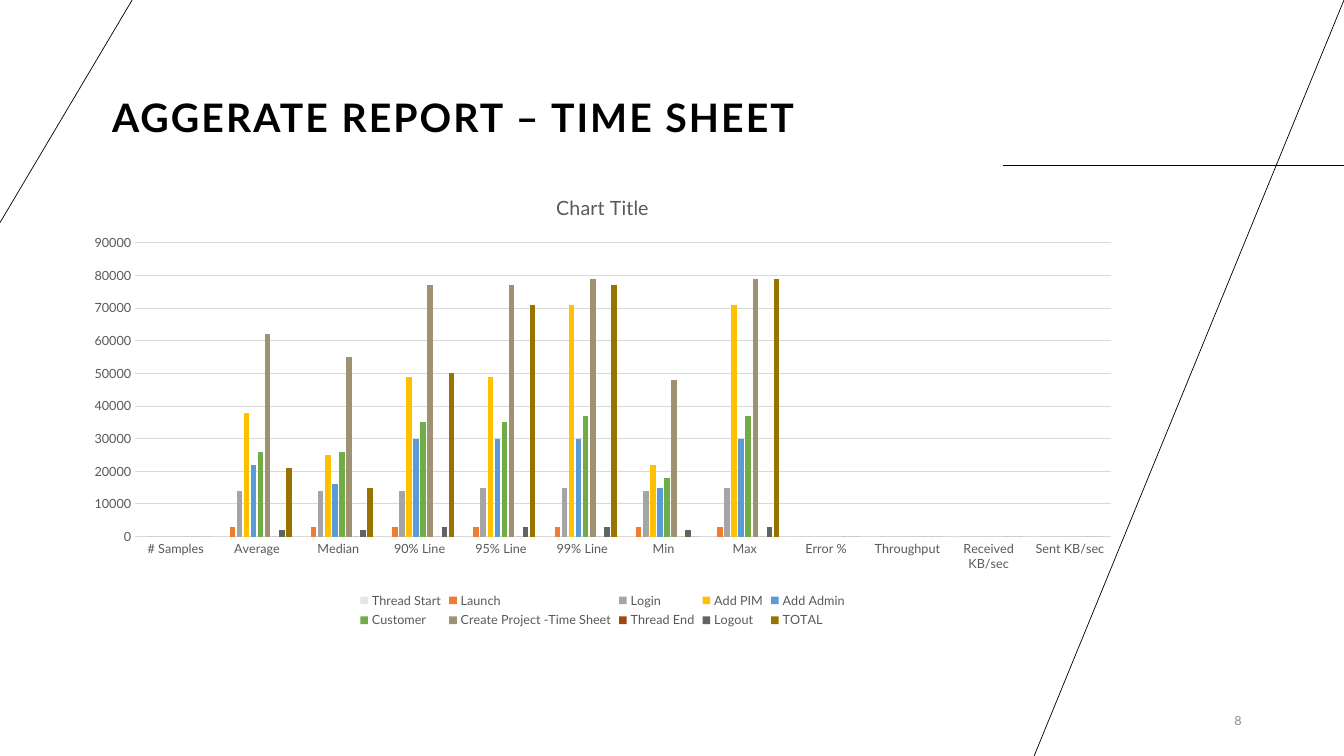
from dataclasses import dataclass

import pptx
import pptx.chart.data
import pptx.dml.color
import pptx.enum.chart
import pptx.enum.shapes
import pptx.enum.text
import pptx.oxml
import pptx.oxml.ns
import pptx.util

Cm = pptx.util.Cm
Pt = pptx.util.Pt


@dataclass(frozen=True)
class Theme:
    font: str = "Lato"
    ink: str = "000000"
    label: str = "595959"
    grid: str = "D9D9D9"
    number: str = "8C8C8C"
    title_size: float = 28
    chart_title_size: float = 14
    label_size: float = 9
    thin: float = 0.5
    rule: float = 0.75


@dataclass(frozen=True)
class Box:
    left: float
    top: float
    width: float
    height: float

    def lengths(self):
        return Cm(self.left), Cm(self.top), Cm(self.width), Cm(self.height)


THEME = Theme()
PAGE = Box(0, 0, 33.87, 19.05)
CATEGORIES = ["# Samples", "Average", "Median", "90% Line", "95% Line", "99% Line",
              "Min", "Max", "Error %", "Throughput", "Received KB/sec", "Sent KB/sec"]
THOUSANDS = {
    "Thread Start": ("E9E6DF", [0] * 7),
    "Launch": ("ED7D31", [3, 3, 3, 3, 3, 3, 3]),
    "Login": ("A5A5A5", [14, 14, 14, 15, 15, 14, 15]),
    "Add PIM": ("FFC000", [38, 25, 49, 49, 71, 22, 71]),
    "Add Admin": ("5B9BD5", [22, 16, 30, 30, 30, 15, 30]),
    "Customer": ("70AD47", [26, 26, 35, 35, 37, 18, 37]),
    "Create Project -Time Sheet": ("9F9273", [62, 55, 77, 77, 79, 48, 79]),
    "Thread End": ("9E480E", [0] * 7),
    "Logout": ("636363", [2, 2, 3, 3, 3, 2, 3]),
    "TOTAL": ("997300", [21, 15, 50, 71, 77, 0, 79]),
}


def rgb(color):
    return pptx.dml.color.RGBColor.from_string(color)


def style_font(font, size, color, bold=False):
    font.name = THEME.font
    font.size = Pt(size)
    font.bold = bold
    font.color.rgb = rgb(color)


def style_line(line, color, width):
    line.color.rgb = rgb(color)
    line.width = Pt(width)


def add_accent_lines(s, box):
    right, bottom = box.left + box.width, box.top + box.height
    ends = [
        (right - 8.6, box.top + 4.17, right, box.top + 4.17),
        (right, box.top, right - 7.81, bottom),
        (box.left, box.top + 5.61, box.left + 3.33, box.top),
    ]
    for points in ends:
        line = s.shapes.add_connector(
            pptx.enum.shapes.MSO_CONNECTOR.STRAIGHT, *map(Cm, points))
        style_line(line.line, THEME.ink, THEME.thin)
        line._element.spPr.append(pptx.oxml.parse_xml(
            f'<a:effectLst {pptx.oxml.ns.nsdecls("a")}/>'))


def add_title(s, box, text):
    sp = s.shapes.title
    sp.left, sp.top, sp.width, sp.height = box.lengths()
    tf = sp.text_frame
    tf.text = text
    tf.word_wrap = True
    tf.auto_size = pptx.enum.text.MSO_AUTO_SIZE.NONE
    tf.vertical_anchor = pptx.enum.text.MSO_ANCHOR.BOTTOM
    p = tf.paragraphs[0]
    p.alignment = pptx.enum.text.PP_ALIGN.LEFT
    p.line_spacing = 0.9
    r = p.runs[0]
    style_font(r.font, THEME.title_size, THEME.ink, bold=True)
    r.font._element.set("spc", "150")


def add_page_number(s, box, text):
    tf = s.shapes.add_textbox(*box.lengths()).text_frame
    tf.text = text
    tf.word_wrap = True
    tf.vertical_anchor = pptx.enum.text.MSO_ANCHOR.MIDDLE
    p = tf.paragraphs[0]
    p.alignment = pptx.enum.text.PP_ALIGN.RIGHT
    style_font(p.runs[0].font, THEME.label_size, THEME.number)


def add_report_chart(s, box):
    data = pptx.chart.data.CategoryChartData()
    data.categories = CATEGORIES
    for name, (_, timings) in THOUSANDS.items():
        data.add_series(name, [0] + [1000 * t for t in timings] + [0] * 4)
    chart = s.shapes.add_chart(
        pptx.enum.chart.XL_CHART_TYPE.COLUMN_CLUSTERED, *box.lengths(), data).chart
    style_font(chart.font, THEME.label_size, THEME.label)

    chart.has_title = True
    tf = chart.chart_title.text_frame
    tf.text = "Chart Title"
    style_font(tf.paragraphs[0].runs[0].font, THEME.chart_title_size, THEME.label)
    chart.chart_title.include_in_layout = False

    chart.has_legend = True
    chart.legend.position = pptx.enum.chart.XL_LEGEND_POSITION.BOTTOM
    chart.legend.include_in_layout = False
    style_font(chart.legend.font, THEME.label_size, THEME.label)

    for axis in (chart.category_axis, chart.value_axis):
        axis.major_tick_mark = pptx.enum.chart.XL_TICK_MARK.NONE
        axis.minor_tick_mark = pptx.enum.chart.XL_TICK_MARK.NONE
        style_font(axis.tick_labels.font, THEME.label_size, THEME.label)
    style_line(chart.category_axis.format.line, THEME.grid, THEME.rule)
    values = chart.value_axis
    values.minimum_scale, values.maximum_scale, values.major_unit = 0, 90000, 10000
    values.format.line.fill.background()
    values.has_major_gridlines = True
    style_line(values.major_gridlines.format.line, THEME.grid, THEME.rule)

    plot = chart.plots[0]
    plot.vary_by_categories = False
    plot.gap_width = 219
    plot.overlap = -27
    for series, (color, _) in zip(plot.series, THOUSANDS.values()):
        series.invert_if_negative = False
        series.format.fill.solid()
        series.format.fill.fore_color.rgb = rgb(color)


def build_report_slide(prs, box):
    s = prs.slides.add_slide(prs.slide_layouts.get_by_name("Title Only"))
    add_accent_lines(s, box)
    add_title(s, Box(box.left + 2.57, box.top + 2.21, 20.24, 1.47),
              "AGGERATE REPORT – TIME SHEET")
    add_page_number(s, Box(box.left + 28.8, box.top + 17.65, 2.74, 1.02), "8")
    add_report_chart(s, Box(box.left + 1.85, box.top + 4.42, 26.67, 11.51))


def main():
    prs = pptx.Presentation()
    prs.slide_width, prs.slide_height = Cm(PAGE.width), Cm(PAGE.height)
    build_report_slide(prs, PAGE)
    prs.save("out.pptx")


if __name__ == "__main__":
    main()
